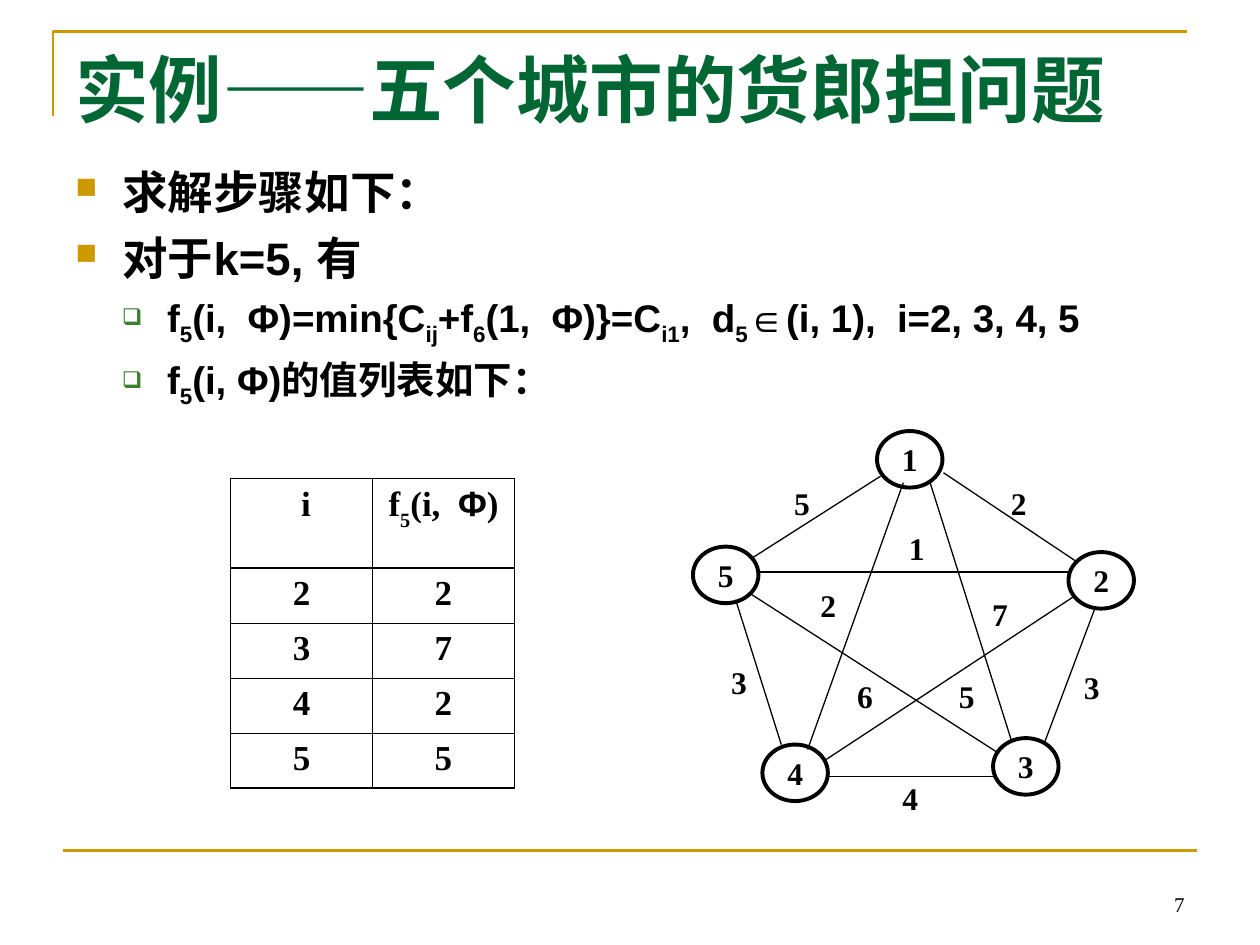
import pptx
import pptx.util
import pptx.dml.color
import pptx.enum.shapes
import pptx.enum.text
import pptx.oxml.ns
from lxml import etree

Cm = pptx.util.Cm
Pt = pptx.util.Pt
RGBColor = pptx.dml.color.RGBColor
ALIGN = pptx.enum.text.PP_ALIGN
ANCHOR = pptx.enum.text.MSO_ANCHOR
qn = pptx.oxml.ns.qn

GOLD = RGBColor(0xCC, 0x99, 0x00)
TITLE_GREEN = RGBColor(0x00, 0x66, 0x33)
BULLET_GREEN = RGBColor(0x3B, 0x81, 0x2F)
BLACK = RGBColor(0, 0, 0)
WHITE = RGBColor(0xFF, 0xFF, 0xFF)
SERIF, SANS = "Times New Roman", "Arial"

# Bullet styles by level: symbol, colour, size %, left margin, hanging indent,
# text size, space before
LEVELS = [
    ("■", GOLD, 65, Cm(0.95), Cm(-0.95), 26, 6.5),
    ("❑", BULLET_GREEN, 60, Cm(1.85), Cm(-0.91), 22, 5.5),
]
# Body lines: level and runs, where every second run is a subscript
STEPS = [
    (0, ["求解步骤如下："]),
    (0, ["对于k=5, 有"]),
    (1, ["f", "5", "(i,  Φ)=min{C", "ij", "+f", "6", "(1,  Φ)}=C", "i1",
         ",  d", "5", "∈(i, 1),  i=2, 3, 4, 5"]),
    (1, ["f", "5", "(i, Φ)的值列表如下："]),
]
# Values of f5 by city
F5_VALUES = [("2", "2"), ("3", "7"), ("4", "2"), ("5", "5")]

# Cities: left and top in cm
CITY_SIZE = (1.32, 1.14)
CITIES = {
    "4": (15.37, 15.01),
    "3": (20.02, 14.88),
    "5": (13.97, 11.02),
    "2": (21.54, 11.13),
    "1": (17.68, 8.69),
}
# Roads: start, end, cost, left and top of the cost label in cm
COST_SIZE = (0.94, 0.81)
ROADS = [
    ((15.29, 11.53), (21.59, 11.53), "1", (18.01, 10.67)),
    ((15.16, 11.99), (20.14, 15.19), "6", (16.97, 13.64)),
    ((18.21, 9.73), (16.28, 15.11), "2", (16.23, 11.81)),
    ((18.75, 9.73), (20.4, 14.96), "7", (19.69, 11.99)),
    ((16.61, 15.34), (21.67, 12.01), "5", (19.02, 13.64)),
    ((15.16, 11.25), (17.75, 9.6), "5", (15.7, 9.75)),
    ((19.02, 9.53), (21.67, 11.3), "2", (20.07, 9.75)),
    ((14.83, 12.09), (15.75, 15.01), "3", (14.43, 13.36)),
    ((16.69, 15.65), (20.07, 15.65), "4", (17.88, 15.7)),
    ((21.06, 14.96), (22.07, 12.27), "3", (21.54, 13.46)),
]


def add_run(paragraph, text, size, font=SERIF, color=BLACK, bold=True, baseline=0):
    run = paragraph.add_run()
    run.text = text
    run.font.size = Pt(size)
    run.font.name = font
    run.font.bold = bold
    run.font.color.rgb = color
    if baseline:
        run.font._element.set("baseline", str(baseline * 1000))


def set_frame(frame, margins=(0, 0), anchor=ANCHOR.TOP):
    frame.word_wrap = True
    frame.margin_left = frame.margin_right = Cm(margins[0])
    frame.margin_top = frame.margin_bottom = Cm(margins[1])
    frame.vertical_anchor = anchor
    return frame


def add_text_box(slide, place, margins=(0.25, 0.13), anchor=ANCHOR.TOP):
    box = slide.shapes.add_textbox(*map(Cm, place))
    return set_frame(box.text_frame, margins, anchor)


def add_line(slide, start, end, color, width):
    line = slide.shapes.add_connector(
        pptx.enum.shapes.MSO_CONNECTOR.STRAIGHT, *map(Cm, start + end))
    line.line.color.rgb = color
    line.line.width = Pt(width)
    etree.SubElement(line._element.spPr, qn("a:effectLst"))


def add_frame_lines(slide):
    builder = slide.shapes.build_freeform(Cm(1.07), Cm(2.34))
    builder.add_line_segments(
        [(Cm(1.07), Cm(0.64)), (Cm(23.93), Cm(0.64))], close=False)
    corner = builder.convert_to_shape()
    corner.shadow.inherit = False
    corner.fill.background()
    corner.line.color.rgb = GOLD
    corner.line.width = Pt(1.5)
    add_line(slide, (1.27, 17.15), (24.13, 17.15), GOLD, 1.5)


def set_bullet(paragraph, symbol, color, percent, margin, indent):
    props = paragraph._p.get_or_add_pPr()
    props.set("marL", str(margin))
    props.set("indent", str(indent))
    bullet_color = etree.SubElement(props, qn("a:buClr"))
    etree.SubElement(bullet_color, qn("a:srgbClr"), val=str(color))
    etree.SubElement(props, qn("a:buSzPct"), val=str(percent * 1000))
    etree.SubElement(props, qn("a:buChar"), char=symbol)


def add_steps(slide):
    frame = add_text_box(slide, (1.27, 3.18, 22.02, 12.57))
    for index, (level, runs) in enumerate(STEPS):
        *bullet, size, space = LEVELS[level]
        step = frame.add_paragraph() if index else frame.paragraphs[0]
        step.level = level
        set_bullet(step, *bullet)
        if index:
            step.space_before = Pt(space)
        for position, text in enumerate(runs):
            add_run(step, text, size, SANS, baseline=-25 * (position % 2))


def add_city(slide, name, corner):
    city = slide.shapes.add_shape(
        pptx.enum.shapes.MSO_SHAPE.OVAL, *map(Cm, corner + CITY_SIZE))
    city.shadow.inherit = False
    city.fill.solid()
    city.fill.fore_color.rgb = WHITE
    city.line.color.rgb = BLACK
    city.line.width = Pt(2.25)
    label = set_frame(city.text_frame, anchor=ANCHOR.MIDDLE).paragraphs[0]
    label.alignment = ALIGN.CENTER
    add_run(label, name, 18)


def add_cost(slide, cost, corner):
    label = add_text_box(slide, corner + COST_SIZE, (0, 0)).paragraphs[0]
    label.alignment = ALIGN.CENTER
    add_run(label, cost, 18)


def set_borders(cell, left, right, top, bottom):
    props = cell._tc.get_or_add_tcPr()
    for side, width in zip("LRTB", (left, right, top, bottom)):
        border = etree.SubElement(props, qn("a:ln" + side), w=str(Pt(width)))
        fill = etree.SubElement(border, qn("a:solidFill"))
        etree.SubElement(fill, qn("a:srgbClr"), val=str(BLACK))


def add_value_table(slide):
    header = ([(" i", SERIF, 0)],
              [("f", SERIF, 0), ("5", SERIF, -30), ("(i,  ", SERIF, 0),
               ("Φ", SANS, 0), (")", SERIF, 0)])
    rows = [header] + [[[(value, SERIF, 0)] for value in row] for row in F5_VALUES]
    heights = [1.8] + [1.11] * len(F5_VALUES)
    table = slide.shapes.add_table(
        len(rows), 2, Cm(4.65), Cm(9.65), Cm(5.72), Cm(sum(heights))).table
    table.first_row = table.horz_banding = False
    for column in table.columns:
        column.width = Cm(2.86)
    for r, (row, height) in enumerate(zip(rows, heights)):
        table.rows[r].height = Cm(height)
        top = 0.96 if r < 2 else 0.45
        bottom = 0.96 if r in (0, len(rows) - 1) else 0.45
        for c, runs in enumerate(row):
            cell = table.cell(r, c)
            set_borders(cell, 0.96, 0.96, top, bottom)
            cell.fill.background()
            paragraph = cell.text_frame.paragraphs[0]
            paragraph.alignment = ALIGN.CENTER
            for text, font, baseline in runs:
                add_run(paragraph, text, 20, font, baseline=baseline)


def main():
    deck = pptx.Presentation()
    deck.slide_width, deck.slide_height = Cm(25.4), Cm(19.05)
    slide = deck.slides.add_slide(deck.slide_layouts[6])

    # Frame lines, title and solution steps
    add_frame_lines(slide)
    title = add_text_box(slide, (1.27, 0.76, 22.86, 3.18)).paragraphs[0]
    add_run(title, "实例——五个城市的货郎担问题", 42, color=TITLE_GREEN)
    add_steps(slide)

    # City graph
    for name, corner in CITIES.items():
        add_city(slide, name, corner)
    for start, end, cost, corner in ROADS:
        add_line(slide, start, end, BLACK, 0.75)
        add_cost(slide, cost, corner)

    # Table of f5 values
    add_value_table(slide)

    # Page number
    page = add_text_box(slide, (18.21, 17.35, 5.92, 1.27),
                        anchor=ANCHOR.BOTTOM).paragraphs[0]
    page.alignment = ALIGN.RIGHT
    add_run(page, "7", 12, bold=False)

    deck.save("out.pptx")


if __name__ == "__main__":
    main()
